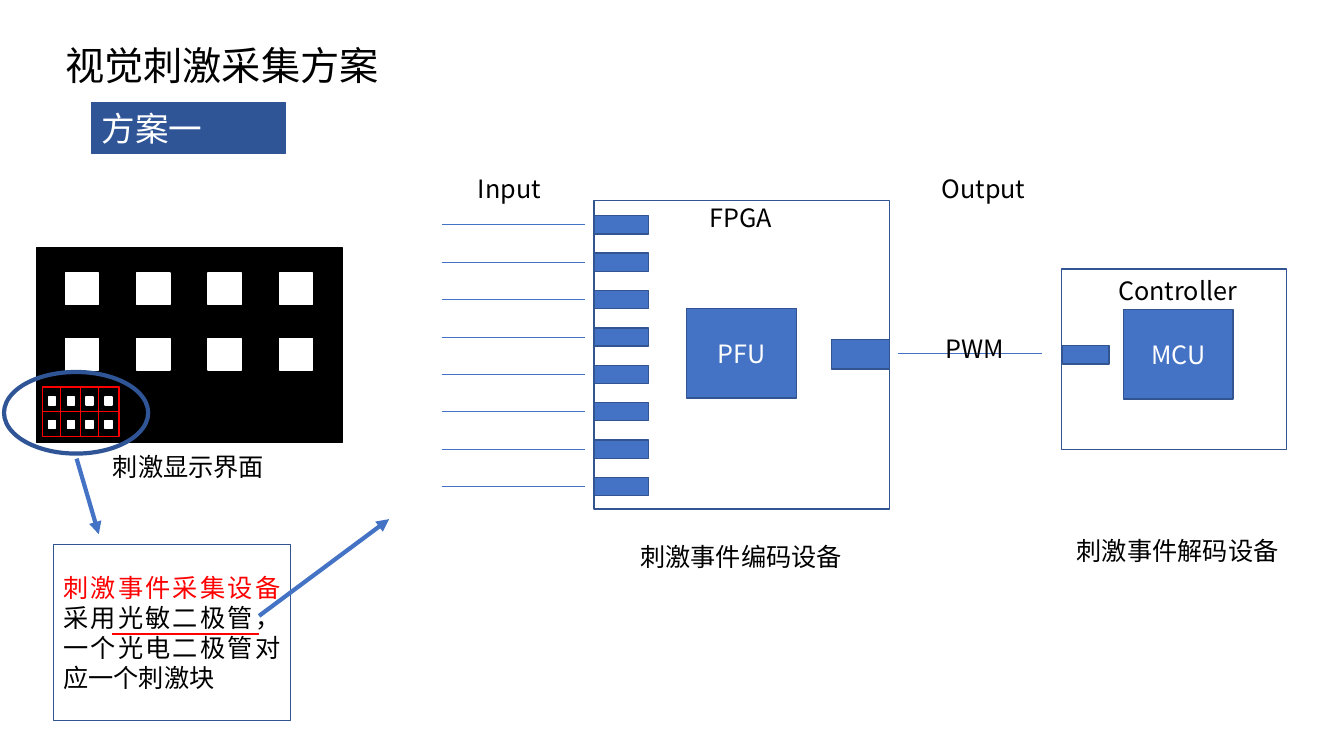
"""Builds the slide on a visual stimulus acquisition scheme."""
import pptx
import pptx.dml.color
import pptx.enum.shapes
import pptx.enum.text
import pptx.oxml.ns
import pptx.util
from lxml import etree

Inches = pptx.util.Inches
Pt = pptx.util.Pt
RGB = pptx.dml.color.RGBColor.from_string
MSO_SHAPE = pptx.enum.shapes.MSO_SHAPE
ALIGN = pptx.enum.text.PP_ALIGN
ANCHOR = pptx.enum.text.MSO_ANCHOR
qn = pptx.oxml.ns.qn

FONT = "Noto Sans CJK SC"
COLORS = {
    "black": "000000", "white": "FFFFFF", "red": "FF0000",
    "blue": "4472C4", "navy": "2F5597", "edge": "325491",
}

deck = pptx.Presentation()
deck.slide_width, deck.slide_height = Inches(13.33), Inches(7.5)
slide = deck.slides.add_slide(deck.slide_layouts[6])


def draw_box(left, top, width, height, fill=None, line="edge", weight=1, kind=MSO_SHAPE.RECTANGLE):
    box = slide.shapes.add_shape(kind, Inches(left), Inches(top), Inches(width), Inches(height))
    box.shadow.inherit = False
    if fill:
        box.fill.solid()
        box.fill.fore_color.rgb = RGB(COLORS[fill])
    else:
        box.fill.background()
    box.line.color.rgb = RGB(COLORS[line])
    box.line.width = Pt(weight)
    return box


def write(text, box=None, at=None, size=18, color="black", align=ALIGN.LEFT, anchor=ANCHOR.MIDDLE, lead=None):
    if box is None:
        box = slide.shapes.add_textbox(*[Inches(length) for length in at])
    frame = box.text_frame
    frame.word_wrap = True
    frame.vertical_anchor = anchor
    paragraph = frame.paragraphs[0]
    paragraph.alignment = align
    for words, tint in ((lead, "red"), (text, color)):
        if words:
            run = paragraph.add_run()
            run.text = words
            run.font.size = Pt(size)
            run.font.name = FONT
            run.font.color.rgb = RGB(COLORS[tint])
            etree.SubElement(run.font._element, qn("a:ea"), typeface=FONT)


scheme = draw_box(0.91, 1.02, 1.92, 0.5, fill="navy", line="navy", weight=0.75)
write("方案一", scheme, size=24, color="white", anchor=ANCHOR.TOP)

draw_box(0.36, 2.46, 3.04, 1.93, fill="black", line="black")
sensor_grid = draw_box(0.42, 3.84, 0.76, 0.49, line="red")
for row in range(2):
    for column in range(4):
        draw_box(0.65 + 0.707 * column, 2.71 + 0.65 * row, 0.33, 0.31, fill="white", line="white")
        draw_box(0.48 + 0.187 * column, 3.94 + 0.23 * row, 0.07, 0.08, fill="white", line="white")
sensor_ring = draw_box(0.04, 3.69, 1.43, 0.81, line="navy", weight=3, kind=MSO_SHAPE.OVAL)

collector = draw_box(0.53, 5.4, 2.35, 1.75)
write("采用光敏二极管，一个光电二极管对应一个刺激块", collector, align=ALIGN.JUSTIFY, lead="刺激事件采集设备")

draw_box(5.89, 1.99, 2.93, 3.06)
input_heights = [2.23 + 0.371 * pin for pin in range(8)]
for height in input_heights:
    draw_box(5.89, height - 0.09, 0.54, 0.18, fill="blue")
draw_box(8.25, 3.37, 0.57, 0.29, fill="blue")
draw_box(10.53, 2.67, 2.23, 1.79)
draw_box(10.54, 3.43, 0.46, 0.18, fill="blue")
for chip, left, top in (("PFU", 6.81, 3.06), ("MCU", 11.14, 3.07)):
    write(chip, draw_box(left, top, 1.09, 0.89, fill="blue"), color="white", align=ALIGN.CENTER)

lines = [(4.38, height, 5.8, height, "blue", 0.5, False) for height in input_heights]
lines += [(x, 3.84, x, 4.33, "red", 1, False) for x in (0.6, 0.8, 0.98)]
lines += [
    (8.91, 3.51, 10.33, 3.51, "blue", 0.5, False),
    (1.11, 6.29, 2.57, 6.29, "red", 1, False),
    (0.76, 4.55, 0.98, 5.3, "blue", 3, True),
    (2.57, 6.11, 3.86, 5.15, "blue", 3, True),
    (0.42, 4.08, 1.18, 4.08, "red", 1, False),
]
for x1, y1, x2, y2, color, weight, arrow in lines:
    link = slide.shapes.add_connector(
        pptx.enum.shapes.MSO_CONNECTOR.STRAIGHT, Inches(x1), Inches(y1), Inches(x2), Inches(y2))
    link.line.color.rgb = RGB(COLORS[color])
    link.line.width = Pt(weight)
    if arrow:
        etree.SubElement(link.line._get_or_add_ln(), qn("a:tailEnd"), type="triangle")
    etree.SubElement(link._element.spPr, qn("a:effectLst"))
link.begin_connect(sensor_grid, 1)
link.end_connect(sensor_grid, 3)

write("视觉刺激采集方案", at=(0.55, 0.34, 3.75, 0.61), size=28)
for label, at in (
    ("Input", (4.64, 1.67, 0.89, 0.32)),
    ("Output", (9.24, 1.67, 1.1, 0.4)),
    ("PWM", (9.28, 3.26, 0.89, 0.32)),
):
    write(label, at=at, anchor=ANCHOR.TOP)
for label, at in (
    ("刺激显示界面", (0.5, 4.43, 2.74, 0.4)),
    ("FPGA", (6.54, 1.98, 1.62, 0.36)),
    ("Controller", (10.87, 2.7, 1.62, 0.36)),
    ("刺激事件编码设备", (6.23, 5.19, 2.24, 0.65)),
    ("刺激事件解码设备", (10.56, 5.14, 2.24, 0.65)),
):
    write(label, at=at, align=ALIGN.CENTER)

deck.save("out.pptx")
